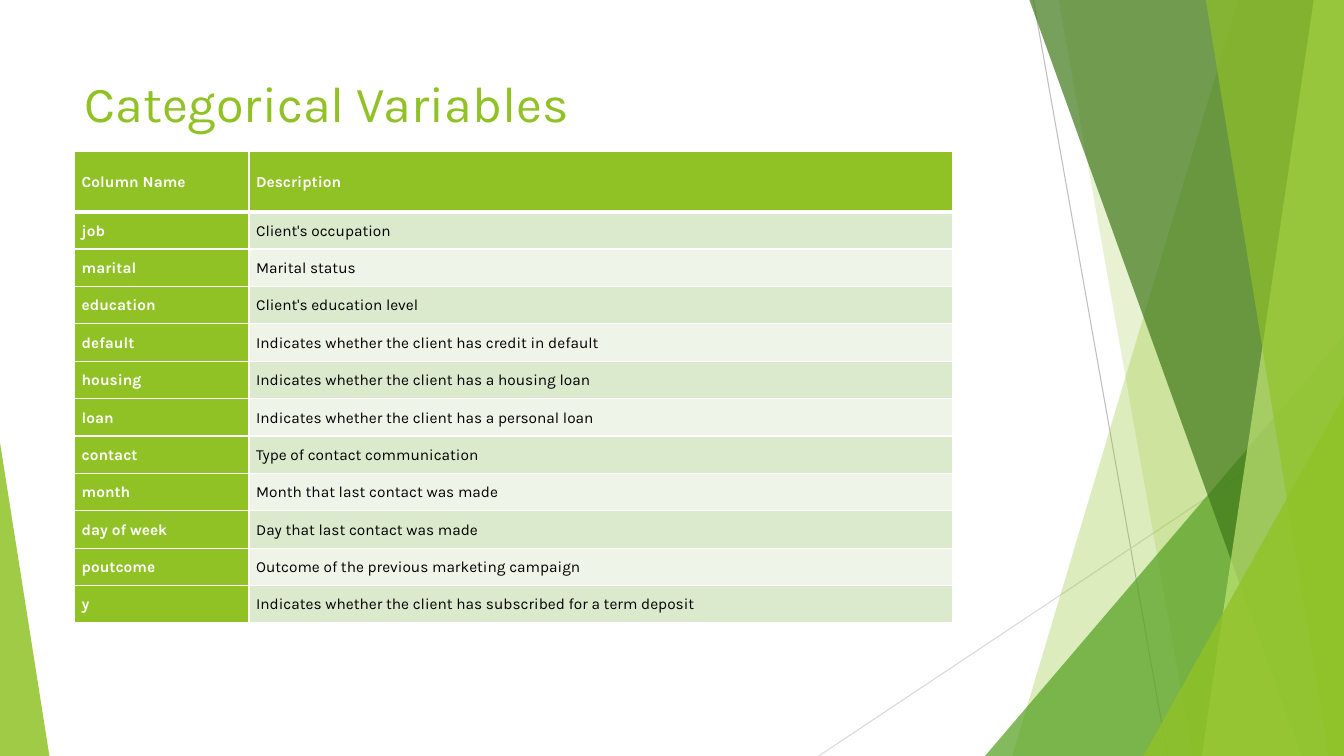
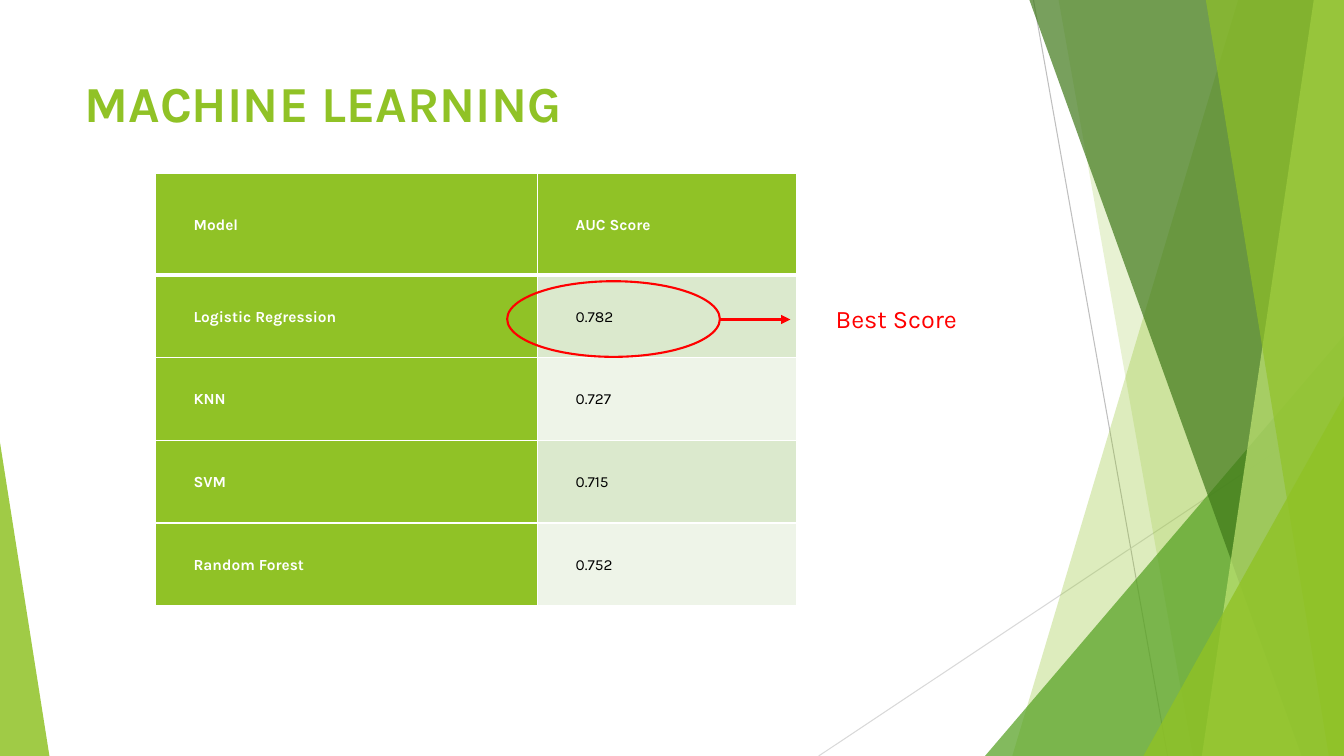
from lxml.etree import SubElement
from pptx import Presentation
from pptx.dml.color import RGBColor
from pptx.enum.shapes import MSO_CONNECTOR, MSO_SHAPE
from pptx.enum.text import MSO_ANCHOR, PP_ALIGN
from pptx.oxml.ns import qn
from pptx.util import Inches, Pt

WIDE, HIGH = 13.33, 7.5
FONT = "Karla"
LIME, LEAF, MOSS, PALE = "90C226", "54A021", "3F7819", "C0E474"
BANDS = "DBE9CD", "EEF4E8"
WHITE, BLACK, RED = "FFFFFF", "000000", "FF0000"

TERMS = [
    ("Column Name", "Description"),
    ("job", "Client's occupation"),
    ("marital", "Marital status"),
    ("education", "Client's education level"),
    ("default", "Indicates whether the client has credit in default"),
    ("housing", "Indicates whether the client has a housing loan"),
    ("loan", "Indicates whether the client has a personal loan"),
    ("contact", "Type of contact communication"),
    ("month", "Month that last contact was made"),
    ("day of week", "Day that last contact was made"),
    ("poutcome", "Outcome of the previous marketing campaign"),
    ("y", "Indicates whether the client has subscribed for a term deposit"),
]
SCORES = [
    ("Model", "AUC Score"),
    ("Logistic Regression", "0.782"),
    ("KNN", "0.727"),
    ("SVM", "0.715"),
    ("Random Forest", "0.752"),
]


def rgb(code):
    """Turn a hex string into a colour."""
    return RGBColor.from_string(code)


def place(*sizes):
    """Turn inch numbers into lengths."""
    return [Inches(size) for size in sizes]


def write(para, text, size, color, bold=False):
    """Add one styled run to a paragraph."""
    run = para.add_run()
    run.text = text
    font = run.font
    font.name, font.size, font.bold = FONT, Pt(size), bold
    font.color.rgb = rgb(color)


def label(slide, text, box, size, color, bold=False):
    """Add a wrapped line of text."""
    frame = slide.shapes.add_textbox(*place(*box)).text_frame
    frame.word_wrap = True
    write(frame.paragraphs[0], text, size, color, bold)


def tint(shape, color, alpha):
    """Give a shape a see-through fill and no outline."""
    shape.shadow.inherit = False
    shape.line.fill.background()
    shape.fill.solid()
    shape.fill.fore_color.rgb = rgb(color)
    tone = shape.fill._xPr.find(qn("a:solidFill"))[0]
    SubElement(tone, qn("a:alpha"), val=str(alpha * 1000))


def blade(slide, top, foot, color, alpha):
    """Fill from a slanted left edge to the right side of the slide."""
    pen = slide.shapes.build_freeform(*place(top, 0), scale=1.0)
    ends = (WIDE, 0), (WIDE, HIGH), (foot, HIGH)
    pen.add_line_segments([place(*end) for end in ends], close=True)
    tint(pen.convert_to_shape(), color, alpha)


def wedge(slide, left, top, width, peak, color, alpha):
    """Stand a triangle on the bottom of the slide."""
    box = place(left, top, width, HIGH - top)
    shape = slide.shapes.add_shape(MSO_SHAPE.ISOSCELES_TRIANGLE, *box)
    shape.adjustments[0] = peak
    tint(shape, color, alpha)


def rule(slide, start, end, color, width, arrow=False):
    """Draw a straight line, with an arrowhead on request."""
    line = slide.shapes.add_connector(MSO_CONNECTOR.STRAIGHT, *place(*start, *end))
    line.line.color.rgb = rgb(color)
    line.line.width = Pt(width)
    if arrow:
        SubElement(line.line._get_or_add_ln(), qn("a:tailEnd"), type="triangle")
    SubElement(line._element.spPr, qn("a:effectLst"))


def ring(slide, box, color, width):
    """Draw a hollow ellipse."""
    shape = slide.shapes.add_shape(MSO_SHAPE.OVAL, *place(*box))
    shape.shadow.inherit = False
    shape.fill.background()
    shape.line.color.rgb = rgb(color)
    shape.line.width = Pt(width)


def edge(cell, side, width):
    """Add a white border to one side of a cell."""
    line = SubElement(cell._tc.get_or_add_tcPr(), qn("a:ln" + side), w=str(Pt(width)))
    fill = SubElement(line, qn("a:solidFill"))
    SubElement(fill, qn("a:srgbClr"), val=WHITE)


def style(cell, text, row, col, align, indent):
    """Fill one cell by its place in the grid."""
    for side in "LRTB":
        thick = (row, side) in ((0, "B"), (1, "T"))
        edge(cell, side, 3 if thick else 1)
    head = row == 0 or col == 0
    cell.fill.solid()
    cell.fill.fore_color.rgb = rgb(LIME if head else BANDS[(row - 1) % 2])
    cell.vertical_anchor = MSO_ANCHOR.MIDDLE
    cell.margin_left = cell.margin_right = Inches(0.07)
    cell.margin_top = cell.margin_bottom = 0
    para = cell.text_frame.paragraphs[0]
    para.alignment, para.line_spacing = align, 1.07
    if indent:
        props = para._p.get_or_add_pPr()
        props.set("marL", "0")
        props.set("indent", str(Inches(indent)))
    write(para, text, 11, WHITE if head else BLACK, head)


def grid(slide, data, box, cols, top, align=PP_ALIGN.LEFT, indent=0):
    """Add a table with a tall head row and equal body rows."""
    frame = slide.shapes.add_table(len(data), len(cols), *place(*box))
    table = frame.table
    table.first_row = table.horz_banding = False
    for col, width in zip(table.columns, cols):
        col.width = Inches(width)
    body = (box[3] - top) / (len(data) - 1)
    for row, texts in enumerate(data):
        table.rows[row].height = Inches(body if row else top)
        for col, text in enumerate(texts):
            style(table.cell(row, col), text, row, col, align, indent)


def scene(deck, title, bold=False):
    """Start a slide with the shared facets and a title."""
    slide = deck.slides.add_slide(deck.slide_layouts[6])
    rule(slide, (10.25, 0), (11.58, HIGH), "BFBFBF", 0.75)
    rule(slide, (WIDE, 4.03), (8.12, HIGH), "D9D9D9", 0.75)
    blade(slide, 12.28, 10.04, LIME, 30)
    blade(slide, 10.5, 11.83, LIME, 20)
    wedge(slide, 9.77, 3.33, 3.56, 1, LEAF, 72)
    blade(slide, 10.21, 12.91, MOSS, 70)
    blade(slide, 13.03, 11.92, PALE, 70)
    blade(slide, 11.96, 13.18, LIME, 65)
    wedge(slide, 11.34, 3.93, 1.99, 1, LIME, 80)
    wedge(slide, 0, 4.39, 0.49, 0, LIME, 85)
    label(slide, title, (0.74, 0.67, 9.4, 1.44), 36, LIME, bold)
    return slide


def main():
    """Build and save both slides."""
    deck = Presentation()
    deck.slide_width, deck.slide_height = place(WIDE, HIGH)

    slide = scene(deck, "Categorical Variables")
    grid(slide, TERMS, (0.74, 1.5, 8.71, 4.68), (1.73, 6.98), 0.6, PP_ALIGN.JUSTIFY)

    slide = scene(deck, "MACHINE LEARNING", True)
    grid(slide, SCORES, (1.54, 1.72, 6.36, 4.29), (3.79, 2.57), 1.01, indent=0.31)
    ring(slide, (5.03, 2.79, 2.11, 0.75), RED, 1.5)
    label(slide, "Best Score", (8.19, 2.96, 2.43, 0.4), 18, RED)
    rule(slide, (7.14, 3.17), (7.84, 3.17), RED, 2.25, True)

    deck.save("out.pptx")


main()
